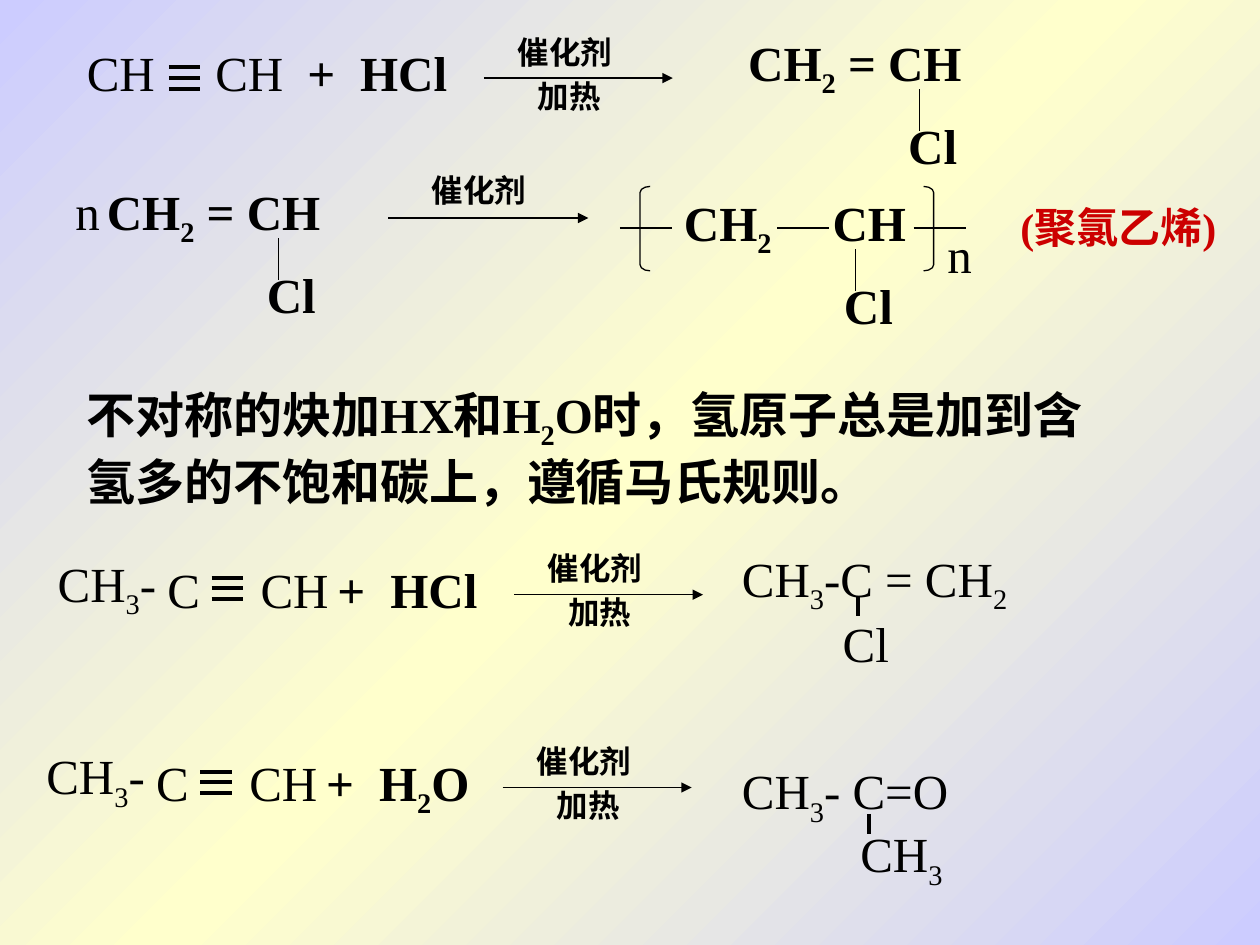
from copy import deepcopy
from dataclasses import dataclass
from lxml.etree import SubElement
from pptx import Presentation
from pptx.dml.color import RGBColor as RGB
from pptx.enum.shapes import MSO_CONNECTOR as Connector, MSO_SHAPE as Preset
from pptx.enum.text import MSO_AUTO_SIZE as AutoSize
from pptx.oxml.ns import qn
from pptx.util import Inches, Pt


@dataclass(frozen=True)
class Theme:
    font: str = "Times New Roman"
    ink: str = "000000"
    accent: str = "CC0000"
    wash: tuple = ((0, "CCCCFF"), (0.5, "FFFFCC"), (1, "CCCCFF"))
    formula: int = 28
    note: int = 24
    condition: int = 18
    thin: float = 0.75
    thick: float = 2.25


THEME = Theme()
COLUMNS, ROWS = 10, 7.5
HEIGHTS = {THEME.formula: 0.57, THEME.note: 0.5, THEME.condition: 0.4}
SUBSCRIPT_HEIGHT = 0.63

ADDITIONS = [
    dict(arrow=(3.84, 0.62), alkyne="CH\tCH", offset=-3.25, tab=1.02,
         bond=(-2.5, 0), reagent="+\tHCl", methyl=None),
    dict(arrow=(4.08, 4.72), alkyne="C\tCH", offset=-2.85, tab=0.74,
         bond=(-2.4, -0.05), reagent="+\tHCl", methyl="CH_3_-"),
    dict(arrow=(3.99, 6.25), alkyne="C\tCH", offset=-2.85, tab=0.74,
         bond=(-2.4, -0.04), reagent="+\tH_2_O", methyl="CH_3_-"),
]
VINYL_UNITS = [
    (5.84, 0.21, "CH_2_ = CH", None),
    (0.75, 1.39, "CH_2_ = CH", None),
    (5.33, 1.48, "CH_2_\tCH", 1.18),
]
PRODUCTS = [
    (5.79, 4.3, 2.76, "CH_3_-C = CH_2_"),
    (6.59, 4.82, 1.26, "Cl"),
    (5.79, 5.99, 2.28, "CH_3_- C=O"),
    (6.73, 6.49, 1.1, "CH_3_"),
]
PRODUCT_BONDS = [(6.81, 4.73), (6.9, 6.46)]
COUNTS = [(0.5, 1.39), (7.42, 1.73)]
CHAIN_BONDS = [(4.92, 0.41), (6.17, 0.41), (7.25, 0.42)]
BRACKETS = [(Preset.LEFT_BRACKET, 5.08), (Preset.RIGHT_BRACKET, 7.33)]
RULE = "不对称的炔加HX和H_2_O时，氢原子总是加到含氢多的不饱和碳上，遵循马氏规则。"

deck = Presentation()
deck.slide_width, deck.slide_height = Inches(10), Inches(7.5)
slide = deck.slides.add_slide(deck.slide_layouts[6])


def grid(x, y):
    return int(deck.slide_width * x / COLUMNS), int(deck.slide_height * y / ROWS)


def paint_background():
    fill = slide.background.fill
    fill.gradient()
    fill.gradient_angle = 315
    first = slide.element.find(".//" + qn("a:gs"))
    first.addnext(deepcopy(first))
    for stop, (position, color) in zip(fill.gradient_stops, THEME.wash):
        stop.position = position
        stop.color.rgb = RGB.from_string(color)


def write(x, y, width, wording, bold=False, size=THEME.formula,
          color=THEME.ink, tab=None, height=None):
    height = height or (SUBSCRIPT_HEIGHT if "_" in wording else HEIGHTS[size])
    frame = slide.shapes.add_textbox(*grid(x, y), *grid(width, height)).text_frame
    frame.word_wrap = True
    frame.auto_size = AutoSize.SHAPE_TO_FIT_TEXT
    paragraph = frame.paragraphs[0]
    if tab:
        stops = SubElement(paragraph._p.get_or_add_pPr(), qn("a:tabLst"))
        SubElement(stops, qn("a:tab"), pos=str(grid(tab, 0)[0]), algn="l")
    for index, part in enumerate(wording.split("_")):
        if not part:
            continue
        run = paragraph.add_run()
        run.text = part
        run.font.name, run.font.size, run.font.bold = THEME.font, Pt(size), bold
        run.font.color.rgb = RGB.from_string(color)
        if index % 2:
            run.font._element.set("baseline", "-25000")


def draw_line(x, y, dx=0, dy=0, weight=THEME.thin, arrow=False):
    line = slide.shapes.add_connector(
        Connector.STRAIGHT, *grid(x, y), *grid(x + dx, y + dy))
    line.line.color.rgb = RGB.from_string(THEME.ink)
    line.line.width = Pt(weight)
    if arrow:
        SubElement(line.line._get_or_add_ln(), qn("a:tailEnd"), type="triangle")
    SubElement(line._element.spPr, qn("a:effectLst"))


def draw_addition(arrow, alkyne, offset, tab, bond, reagent, methyl):
    x, y = arrow
    write(x + offset, y - 0.33, 2.75, alkyne, tab=tab)
    for step in (-1, 0, 1):
        draw_line(x + bond[0], y + bond[1] + step * 0.085, dx=0.25,
                  weight=THEME.thick)
    write(x - 1.5, y - 0.33, 1.42, reagent, bold=True, tab=0.42)
    draw_line(x, y, dx=1.5, arrow=True)
    write(x + 0.17, y - 0.41, 1.08, "催化剂", bold=True, size=THEME.condition)
    write(x + 0.33, y - 0.06, 1.08, "加热", bold=True, size=THEME.condition)
    if methyl:
        write(x - 3.72, y - 0.38, 1.17, methyl)


def draw_vinyl(x, y, wording, tab):
    write(x, y, 2.5, wording, bold=True, tab=tab)
    draw_line(x + 1.46, y + 0.5, dy=0.33)
    write(x + 1.27, y + 0.66, 0.73, "Cl", bold=True)


def draw_polymerization():
    draw_line(3.08, 1.73, dx=1.59, arrow=True)
    write(3.33, 1.31, 1.08, "催化剂", bold=True, size=THEME.condition)
    for x, length in CHAIN_BONDS:
        draw_line(x, 1.81, dx=length)
    for preset, x in BRACKETS:
        bracket = slide.shapes.add_shape(preset, *grid(x, 1.48), *grid(0.08, 0.67))
        bracket.adjustments[0] = 0.6
        bracket.shadow.inherit = False
        bracket.fill.background()
        bracket.line.color.rgb = RGB.from_string(THEME.ink)
        bracket.line.width = Pt(THEME.thin)
    for x, y in COUNTS:
        write(x, y, 0.42, "n")
    write(8, 1.55, 1.92, "(聚氯乙烯)", bold=True, size=THEME.note,
          color=THEME.accent)


paint_background()
for addition in ADDITIONS:
    draw_addition(**addition)
for unit in VINYL_UNITS:
    draw_vinyl(*unit)
draw_polymerization()
for product in PRODUCTS:
    write(*product)
for x, y in PRODUCT_BONDS:
    draw_line(x, y, dy=0.16, weight=THEME.thick)
write(0.59, 3, 8.27, RULE, bold=True, height=1.1)
deck.save("out.pptx")
